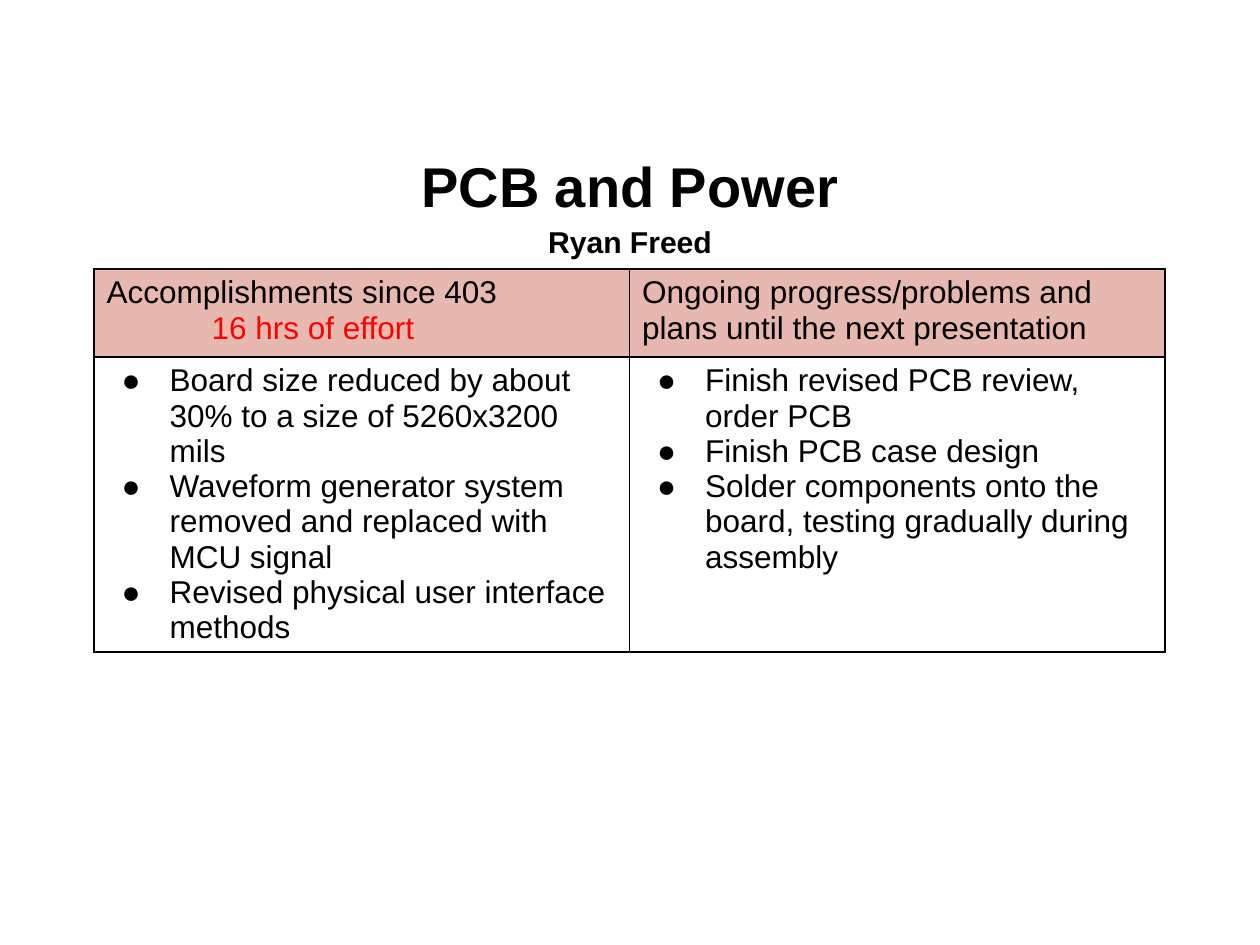
from dataclasses import dataclass

from lxml.etree import SubElement
from pptx import Presentation
from pptx.dml.color import RGBColor
from pptx.enum.text import MSO_ANCHOR, MSO_AUTO_SIZE, PP_ALIGN
from pptx.oxml.ns import qn
from pptx.util import Emu, Pt

BLACK = RGBColor(0x00, 0x00, 0x00)
RED = RGBColor(0xFF, 0x00, 0x00)
PINK = RGBColor(0xE6, 0xB8, 0xAF)
FONT = "Arial"


def px(count: int) -> Emu:
    return Emu(round(count * 914400 / 126))


@dataclass
class Line:
    text: str
    size: float = 18
    color: RGBColor = BLACK
    bold: bool = False
    left: int = 0
    hang: int = 0
    mark: str = ""


@dataclass
class Column:
    head: list[Line]
    items: list[str]


COLUMNS = [
    Column(
        [Line("Accomplishments since 403"), Line("16 hrs of effort", color=RED, left=105)],
        [
            "Board size reduced by about 30% to a size of 5260x3200 mils",
            "Waveform generator system removed and replaced with MCU signal",
            "Revised physical user interface methods",
        ],
    ),
    Column(
        [Line("Ongoing progress/problems and plans until the next presentation")],
        [
            "Finish revised PCB review, order PCB",
            "Finish PCB case design",
            "Solder components onto the board, testing gradually during assembly",
        ],
    ),
]


def write(frame, lines: list[Line]) -> None:
    frame.text = "\n".join(line.text for line in lines)
    for para, line in zip(frame.paragraphs, lines):
        font = para.runs[0].font
        font.name = FONT
        font.size = Pt(line.size)
        font.bold = line.bold
        font.color.rgb = line.color
        if line.left:
            props = para._p.get_or_add_pPr()
            props.set("marL", str(px(line.left)))
            props.set("indent", str(-px(line.hang)))
            if line.mark:
                tint = SubElement(props, qn("a:buClr"))
                SubElement(tint, qn("a:srgbClr"), val=str(BLACK))
                SubElement(props, qn("a:buFont"), typeface=FONT)
                SubElement(props, qn("a:buChar"), char=line.mark)


def border(cell) -> None:
    props = cell._tc.get_or_add_tcPr()
    for side in ("lnL", "lnR", "lnT", "lnB"):
        edge = SubElement(props, qn(f"a:{side}"), w=str(Pt(1)))
        fill = SubElement(edge, qn("a:solidFill"))
        SubElement(fill, qn("a:srgbClr"), val=str(BLACK))


def draw_title(slide) -> None:
    title = slide.shapes.title
    title.left, title.top = px(63), px(145)
    title.width, title.height = px(1134), px(111)
    frame = title.text_frame
    write(frame, [Line("PCB and Power", 32, bold=True), Line("Ryan Freed", 17.2, bold=True)])
    frame.auto_size = MSO_AUTO_SIZE.NONE
    frame.word_wrap = True
    frame.vertical_anchor = MSO_ANCHOR.MIDDLE
    for para in frame.paragraphs:
        para.alignment = PP_ALIGN.CENTER
        para.line_spacing = 1.15


def draw_table(slide, columns: list[Column]) -> None:
    heights = [88, 295]
    width = 1071
    shape = slide.shapes.add_table(
        len(heights), len(columns), px(94), px(269), px(width), px(sum(heights))
    )
    table = shape.table
    table.first_row = False
    table.horz_banding = False
    for row, height in zip(table.rows, heights):
        row.height = px(height)
    for col, column in enumerate(columns):
        table.columns[col].width = px(width) // len(columns)
        items = [Line(text, left=63, hang=48, mark="●") for text in column.items]
        for row, lines in enumerate((column.head, items)):
            cell = table.cell(row, col)
            cell.margin_left = cell.margin_right = Pt(7.2)
            cell.margin_top = cell.margin_bottom = Pt(3.6)
            write(cell.text_frame, lines)
            border(cell)
            if row == 0:
                cell.fill.solid()
                cell.fill.fore_color.rgb = PINK
            else:
                cell.fill.background()


def main() -> None:
    deck = Presentation()
    deck.slide_width, deck.slide_height = px(1260), px(945)
    slide = deck.slides.add_slide(deck.slide_layouts[5])
    draw_title(slide)
    draw_table(slide, COLUMNS)
    deck.save("out.pptx")


if __name__ == "__main__":
    main()
